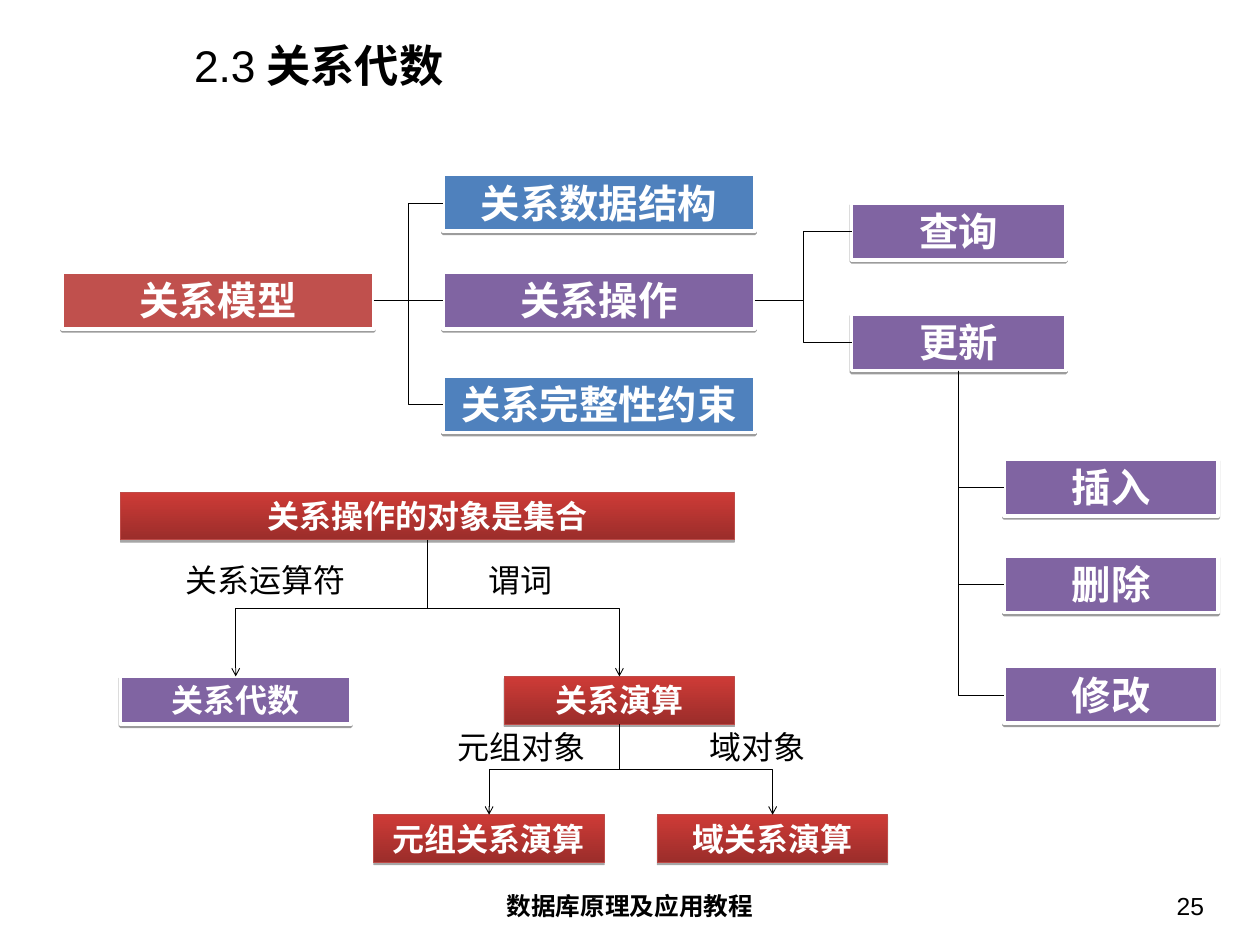
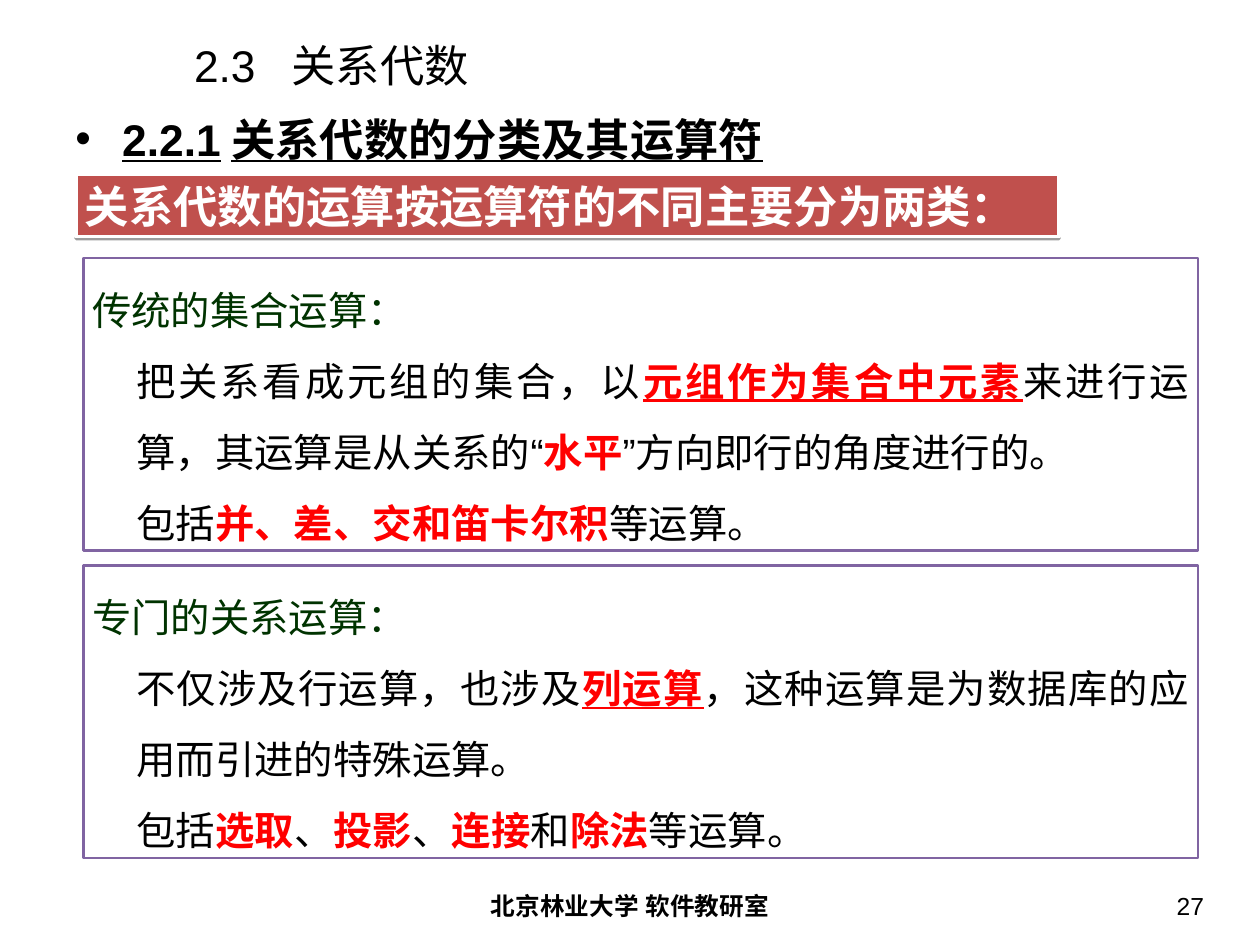
from lxml.etree import SubElement
from pptx import Presentation
from pptx.dml.color import RGBColor
from pptx.enum.lang import MSO_LANGUAGE_ID
from pptx.enum.shapes import MSO_CONNECTOR, MSO_SHAPE
from pptx.enum.text import MSO_ANCHOR, MSO_AUTO_SIZE, PP_ALIGN
from pptx.oxml.ns import qn
from pptx.util import Inches, Pt

FONT = "Arial"
BLACK, WHITE, RED, GREEN = "000000", "FFFFFF", "FF0000", "003300"
BRICK, BLUE, PURPLE = "C0504D", "4F81BD", "8064A2"
GLOSS, GLOSS_EDGE = ("9B2D2A", "CE3B37"), "BE4B48"
TOP, LEFT, BOTTOM, RIGHT = range(4)

PLAIN = {"color": BLACK}
BOLD = {"color": BLACK, "bold": True}
BOLD_LINE = {"color": BLACK, "bold": True, "underline": True}
ON_FILL = {"color": WHITE, "bold": True}
TOPIC = {"color": GREEN}
KEY = {"color": RED, "bold": True}
KEY_LINE = {"color": RED, "bold": True, "underline": True}

WIDE, MEDIUM, SMALL = (3.52, 0.64, 32), (2.42, 0.64, 32), (2.6, 0.54, 26)
BANNER = (6.93, 0.54, 26)

MODEL_BOXES = [
    ("关系模型", 0.7, 3.07, WIDE, BRICK),
    ("关系数据结构", 5, 1.97, WIDE, BLUE),
    ("关系操作", 5, 3.07, WIDE, PURPLE),
    ("关系完整性约束", 5, 4.24, WIDE, BLUE),
    ("查询", 9.61, 2.29, MEDIUM, PURPLE),
    ("更新", 9.61, 3.54, MEDIUM, PURPLE),
    ("插入", 11.33, 5.18, MEDIUM, PURPLE),
    ("删除", 11.33, 6.27, MEDIUM, PURPLE),
    ("修改", 11.33, 7.52, MEDIUM, PURPLE),
    ("关系操作的对象是集合", 1.36, 5.55, BANNER, GLOSS),
    ("关系代数", 1.36, 7.63, SMALL, PURPLE),
    ("关系演算", 5.69, 7.63, SMALL, GLOSS),
    ("元组关系演算", 4.22, 9.19, SMALL, GLOSS),
    ("域关系演算", 7.42, 9.19, SMALL, GLOSS),
]
BRANCHES = [
    ("关系模型", RIGHT, LEFT, ["关系数据结构", "关系操作", "关系完整性约束"]),
    ("关系操作", RIGHT, LEFT, ["查询", "更新"]),
    ("更新", BOTTOM, LEFT, ["插入", "删除", "修改"]),
    ("关系操作的对象是集合", BOTTOM, TOP, ["关系代数", "关系演算"]),
    ("关系演算", BOTTOM, TOP, ["域关系演算", "元组关系演算"]),
]
BRANCH_LABELS = [
    ("关系运算符", 1.99, 6.27),
    ("谓词", 5.41, 6.27),
    ("元组对象", 5.06, 8.16),
    ("域对象", 7.91, 8.16),
]

SECTION_HEADING = "2.2.1关系代数的分类及其运算符"
SECTION_BAND = "关系代数的运算按运算符的不同主要分为两类："
OPERATION_PANELS = [
    [
        [("传统的集合运算：", TOPIC)],
        [("把关系看成元组的集合，以", PLAIN), ("元组作为集合中元素", KEY_LINE),
         ("来进行运算，其运算是从关系的“", PLAIN), ("水平", KEY),
         ("”方向即行的角度进行的。", PLAIN)],
        [("包括", PLAIN), ("并、差、交和笛卡尔积", KEY), ("等运算。", PLAIN)],
    ],
    [
        [("专门的关系运算：", TOPIC)],
        [("不仅涉及行运算，也涉及", PLAIN), ("列运算", KEY_LINE),
         ("，这种运算是为数据库的应用而引进的特殊运算。", PLAIN)],
        [("包括", PLAIN), ("选取", KEY), ("、", PLAIN), ("投影", KEY), ("、", PLAIN),
         ("连接", KEY), ("和", PLAIN), ("除法", KEY), ("等运算。", PLAIN)],
    ],
]


def rgb(hex_colour):
    return RGBColor.from_string(hex_colour)


def write(paragraph, pieces, size, align=PP_ALIGN.LEFT):
    paragraph.alignment = align
    for text, style in pieces:
        run = paragraph.add_run()
        run.text = text
        font = run.font
        font.size, font.name = Pt(size), FONT
        font.bold = style.get("bold", False)
        font.underline = style.get("underline", False)
        font.color.rgb = rgb(style["color"])
        font.language_id = MSO_LANGUAGE_ID.SIMPLIFIED_CHINESE
        SubElement(run._r.get_or_add_rPr(), qn("a:ea"), typeface=FONT)


def set_frame(frame, side=0.1, edge=0.05, anchor=MSO_ANCHOR.TOP, grow=True):
    frame.word_wrap = True
    frame.auto_size = MSO_AUTO_SIZE.SHAPE_TO_FIT_TEXT if grow else MSO_AUTO_SIZE.NONE
    frame.vertical_anchor = anchor
    frame.margin_left = frame.margin_right = Inches(side)
    frame.margin_top = frame.margin_bottom = Inches(edge)


def add_text(slide, place, pieces, size, align=PP_ALIGN.LEFT, **frame_options):
    box = slide.shapes.add_textbox(*map(Inches, place))
    set_frame(box.text_frame, **frame_options)
    paragraph = box.text_frame.paragraphs[0]
    write(paragraph, pieces, size, align)
    return paragraph


def add_box(slide, place, fill, edge, edge_width, shadow=None):
    box = slide.shapes.add_shape(MSO_SHAPE.RECTANGLE, *map(Inches, place))
    if isinstance(fill, tuple):
        box.fill.gradient()
        box.fill.gradient_angle = 90
        for position, (stop, colour) in enumerate(zip(box.fill.gradient_stops, fill)):
            stop.color.rgb = rgb(colour)
            stop.position = position
    else:
        box.fill.solid()
        box.fill.fore_color.rgb = rgb(fill)
    box.line.color.rgb = rgb(edge)
    box.line.width = Pt(edge_width)
    box.shadow.inherit = False
    if shadow:
        opacity, distance = shadow
        effects = box._element.spPr.find(qn("a:effectLst"))
        outer = SubElement(effects, qn("a:outerShdw"), blurRad="0", dist=str(Pt(distance)),
                           dir="5400000", rotWithShape="0")
        colour = SubElement(outer, qn("a:srgbClr"), val=BLACK)
        SubElement(colour, qn("a:alpha"), val=str(opacity * 1000))
    set_frame(box.text_frame)
    return box


def add_filled_box(slide, text, place, size, fill, align=PP_ALIGN.CENTER):
    look = (GLOSS_EDGE, 0.75, (35, 1.8)) if fill == GLOSS else (WHITE, 3, (38, 1.6))
    box = add_box(slide, place, fill, *look)
    write(box.text_frame.paragraphs[0], [(text, ON_FILL)], size, align)
    return box


def turn_downward(branch, is_corner):
    start_x, start_y, end_x, end_y = branch.begin_x, branch.begin_y, branch.end_x, branch.end_y
    across, down = abs(end_x - start_x), end_y - start_y
    frame = branch._element.spPr.find(qn("a:xfrm"))
    for flip in ("flipH", "flipV"):
        frame.attrib.pop(flip, None)
    branch.left = (start_x + end_x - down) // 2
    branch.top = (start_y + end_y - across) // 2
    branch.width, branch.height = down, across
    if end_x > start_x:
        frame.set("rot", "16200000")
        frame.set("flipH", "1")
    else:
        frame.set("rot", "5400000")
    if is_corner:
        branch._element.spPr.find(qn("a:prstGeom")).set("prst", "bentConnector2")


def add_branch(slide, parent, parent_side, child, child_side):
    branch = slide.shapes.add_connector(MSO_CONNECTOR.ELBOW, 0, 0, 0, 0)
    branch.begin_connect(parent, parent_side)
    branch.end_connect(child, child_side)
    branch.line.color.rgb = rgb(BLACK)
    branch.line.width = Pt(0.75)
    if parent_side == BOTTOM:
        turn_downward(branch, child_side == LEFT)
    if child_side == TOP:
        SubElement(branch.line._get_or_add_ln(), qn("a:tailEnd"), type="arrow")
    SubElement(branch._element.spPr, qn("a:effectLst"))


def add_page(deck, title, footer, number):
    slide = deck.slides.add_slide(deck.slide_layouts[6])
    page_frame = {"side": 0.14, "edge": 0.07, "grow": False}
    add_text(slide, (4.86, 9.98, 4.5, 0.55), [(footer, BOLD)], 20, PP_ALIGN.CENTER, **page_frame)
    add_text(slide, (10.41, 9.98, 3.32, 0.55), [(number, PLAIN)], 20, PP_ALIGN.RIGHT, **page_frame)
    heading = add_text(slide, (2.05, 0.45, 11.83, 0.57), title, 36,
                       anchor=MSO_ANCHOR.MIDDLE, **page_frame)
    return slide, heading


def build_model_page(deck):
    slide, _ = add_page(deck, [("2.3", PLAIN), ("关系代数", BOLD)], "数据库原理及应用教程", "25")
    boxes = {}
    for text, left, top, (width, height, size), fill in MODEL_BOXES:
        boxes[text] = add_filled_box(slide, text, (left, top, width, height), size, fill)
    for parent, parent_side, child_side, children in BRANCHES:
        for child in children:
            add_branch(slide, boxes[parent], parent_side, boxes[child], child_side)
    for text, left, top in BRANCH_LABELS:
        add_text(slide, (left, top, 2.44, 0.54), [(text, PLAIN)], 26)


def build_operations_page(deck):
    slide, heading = add_page(deck, [("2.3\t关系代数", PLAIN)], "北京林业大学 软件教研室", "27")
    title_tabs = SubElement(heading._p.get_or_add_pPr(), qn("a:tabLst"))
    SubElement(title_tabs, qn("a:tab"), pos=str(Inches(1.1)), algn="l")

    section = add_text(slide, (0.71, 1.19, 12.8, 0.89), [(SECTION_HEADING, BOLD_LINE)], 36,
                       side=0.14, edge=0.07, grow=False)
    bullet = section._p.get_or_add_pPr()
    bullet.set("marL", str(Inches(0.53)))
    bullet.set("indent", str(-Inches(0.53)))
    SubElement(SubElement(bullet, qn("a:buClr")), qn("a:srgbClr"), val=BLACK)
    SubElement(bullet, qn("a:buFont"), typeface=FONT)
    SubElement(bullet, qn("a:buChar"), char="•")

    add_filled_box(slide, SECTION_BAND, (0.86, 1.97, 11.09, 0.7), 36, BRICK, PP_ALIGN.LEFT)
    for index, lines in enumerate(OPERATION_PANELS):
        panel = add_box(slide, (0.94, 2.91 + 3.47 * index, 12.58, 3.3), WHITE, PURPLE, 2)
        frame = panel.text_frame
        for row, pieces in enumerate(lines):
            paragraph = frame.add_paragraph() if row else frame.paragraphs[0]
            write(paragraph, pieces, 32, PP_ALIGN.JUSTIFY)
            paragraph.line_spacing = 1.5
            layout = paragraph._p.get_or_add_pPr()
            layout.set("hangingPunct", "0")
            if row:
                paragraph.level = 1
                layout.set("marL", str(Inches(0.5)))
                layout.set("indent", "0")


def main():
    deck = Presentation()
    deck.slide_width, deck.slide_height = Inches(14.22), Inches(10.66)
    build_model_page(deck)
    build_operations_page(deck)
    deck.save("out.pptx")


if __name__ == "__main__":
    main()
